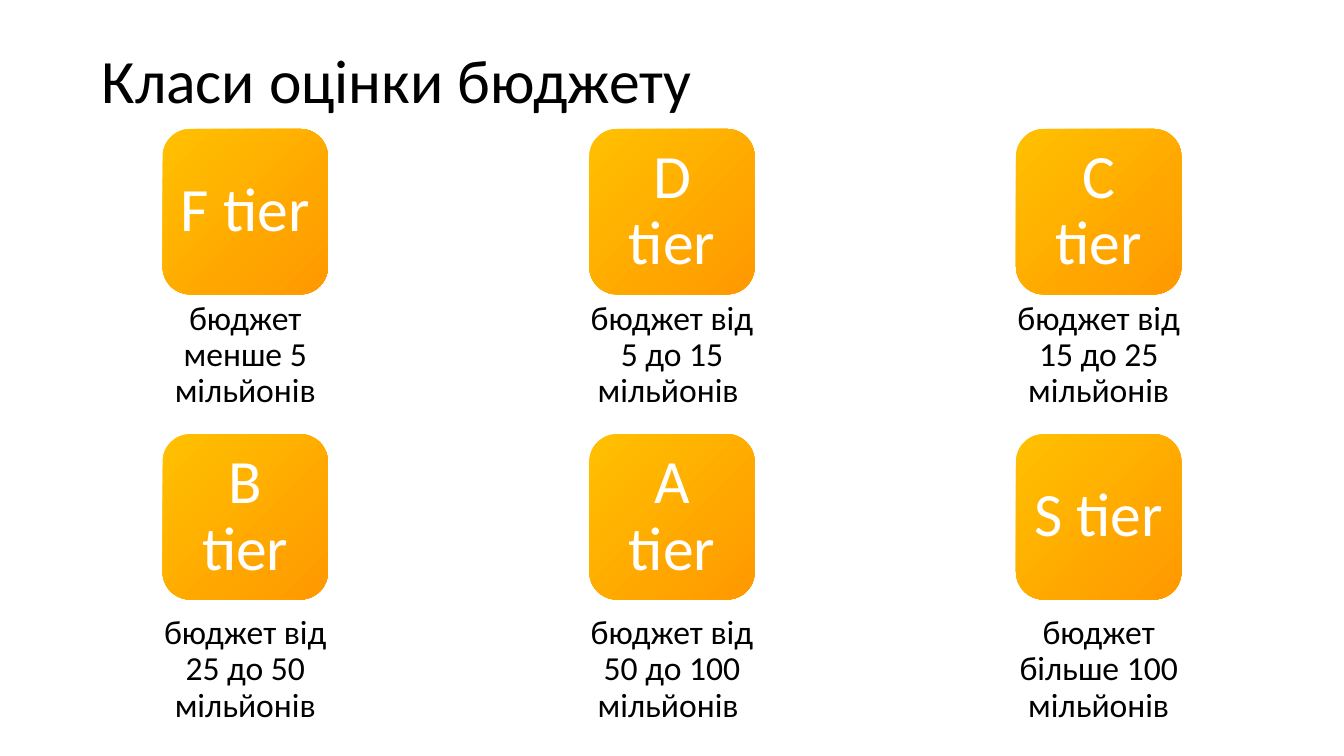
"""Build a slide showing six budget tiers as a grid of captioned tiles."""
from pptx import Presentation
from pptx.dml.color import RGBColor
from pptx.enum.shapes import MSO_SHAPE
from pptx.enum.text import MSO_ANCHOR, MSO_AUTO_SIZE, PP_ALIGN
from pptx.util import Pt

HEADING = "Класи оцінки бюджету"
TIERS = [
    ("F tier", "бюджет менше 5 мільйонів"),
    ("D tier", "бюджет від 5 до 15 мільйонів "),
    ("C tier", "бюджет від 15 до 25 мільйонів"),
    ("B tier", "бюджет від 25 до 50 мільйонів"),
    ("A tier", "бюджет від 50 до 100 мільйонів "),
    ("S tier", "бюджет більше 100 мільйонів"),
]

BLACK = RGBColor(0x00, 0x00, 0x00)
WHITE = RGBColor(0xFF, 0xFF, 0xFF)
AMBER = RGBColor(0xFF, 0xC0, 0x00)
ORANGE = RGBColor(0xFF, 0x99, 0x00)

COLUMNS = 3
TILE = 88.6
GRID_LEFT, GRID_TOP = 87.1, 69.1
COLUMN_STEP, ROW_STEP = 228.6, 163.5
CAPTION_WIDTH, CAPTION_HEIGHT = 100, 88.6
CAPTION_OFFSETS = [89.3, 94.3]


def write(shape, text, size=18, color=BLACK, align=PP_ALIGN.CENTER, anchor=MSO_ANCHOR.MIDDLE):
    frame = shape.text_frame
    frame.auto_size = MSO_AUTO_SIZE.NONE
    frame.word_wrap = True
    frame.vertical_anchor = anchor
    frame.margin_left = frame.margin_right = Pt(5)
    frame.margin_top = frame.margin_bottom = Pt(2.9)
    paragraph = frame.paragraphs[0]
    paragraph.text = text
    paragraph.alignment = align
    paragraph.line_spacing = 0.9
    paragraph.font.name = "Calibri"
    paragraph.font.size = Pt(size)
    paragraph.font.color.rgb = color


def add_tile(slide, name, left, top):
    tile = slide.shapes.add_shape(MSO_SHAPE.ROUNDED_RECTANGLE, Pt(left), Pt(top), Pt(TILE), Pt(TILE))
    tile.shadow.inherit = False
    tile.line.fill.background()
    tile.fill.gradient()
    tile.fill.gradient_angle = 315
    for stop, color in zip(tile.fill.gradient_stops, (AMBER, ORANGE)):
        stop.color.rgb = color
    write(tile, name, size=33, color=WHITE)


def add_caption(slide, budget, left, top):
    caption = slide.shapes.add_textbox(Pt(left), Pt(top), Pt(CAPTION_WIDTH), Pt(CAPTION_HEIGHT))
    write(caption, budget, anchor=MSO_ANCHOR.TOP)


def main():
    deck = Presentation()
    deck.slide_width, deck.slide_height = Pt(720), Pt(405)
    slide = deck.slides.add_slide(deck.slide_layouts[5])

    heading = slide.shapes.title
    heading.left, heading.top = Pt(49.5), Pt(21.6)
    heading.width, heading.height = Pt(621), Pt(46)
    write(heading, HEADING, size=33, align=PP_ALIGN.LEFT)

    for index, (name, budget) in enumerate(TIERS):
        row, column = divmod(index, COLUMNS)
        left = GRID_LEFT + column * COLUMN_STEP
        top = GRID_TOP + row * ROW_STEP
        add_tile(slide, name, left, top)
        add_caption(slide, budget, left - (CAPTION_WIDTH - TILE) / 2, top + CAPTION_OFFSETS[row])

    deck.save("out.pptx")


if __name__ == "__main__":
    main()
